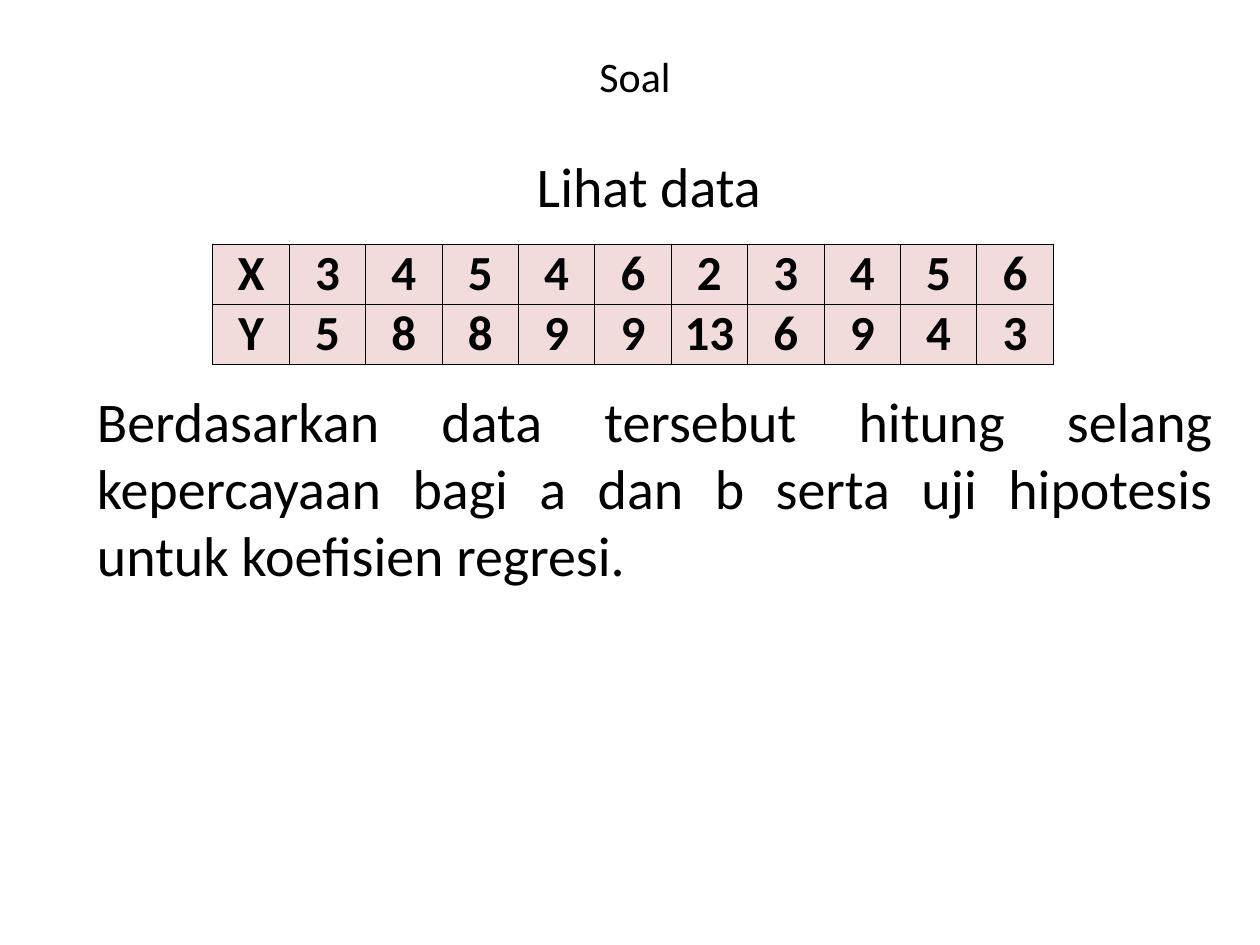
"""Build the exercise slide with its X and Y data table."""
import pptx
import pptx.dml.color
import pptx.enum.text
import pptx.oxml
import pptx.oxml.ns
import pptx.util

Cm, Pt = pptx.util.Cm, pptx.util.Pt
ALIGN = pptx.enum.text.PP_ALIGN
ANCHOR = pptx.enum.text.MSO_ANCHOR

FONT, BLACK, PINK = "Calibri", "000000", "F2DCDB"
TITLE = "Soal"
BODY = [
    ("Lihat data ", ALIGN.CENTER, 6.4),
    ("Berdasarkan data tersebut hitung selang kepercayaan bagi a dan b "
     "serta uji hipotesis untuk koefisien regresi.", ALIGN.JUSTIFY, 96),
]
DATA = [
    ("X", 3, 4, 5, 4, 6, 2, 3, 4, 5, 6),
    ("Y", 5, 8, 8, 9, 9, 13, 6, 9, 4, 3),
]
COLUMN_WIDTH, ROW_HEIGHT = Cm(1.54), Cm(1.2)


def color(value):
    return pptx.dml.color.RGBColor.from_string(value)


def write(para, text, size, align, bold=False):
    para.text = text
    para.alignment = align
    para.font.name, para.font.size, para.font.bold = FONT, Pt(size), bold
    para.font.color.rgb = color(BLACK)


def place(box, left, top, width, height, anchor):
    box.left, box.top, box.width, box.height = map(Cm, (left, top, width, height))
    frame = box.text_frame
    frame.word_wrap = True
    frame.auto_size = pptx.enum.text.MSO_AUTO_SIZE.NONE
    frame.vertical_anchor = anchor
    return frame


def add_borders(cell):
    properties = cell._tc.get_or_add_tcPr()
    for position, side in enumerate(("lnL", "lnR", "lnT", "lnB")):
        properties.insert(position, pptx.oxml.parse_xml(
            f'<a:{side} {pptx.oxml.ns.nsdecls("a")} w="{Pt(0.5)}"><a:solidFill>'
            f'<a:srgbClr val="{BLACK}"/></a:solidFill></a:{side}>'))


def fill_cell(cell, value):
    cell.margin_left = cell.margin_right = cell.margin_top = cell.margin_bottom = 0
    cell.vertical_anchor = ANCHOR.BOTTOM
    cell.fill.solid()
    cell.fill.fore_color.rgb = color(PINK)
    write(cell.text_frame.paragraphs[0], str(value), 28, ALIGN.CENTER, bold=True)
    add_borders(cell)


def add_data_table(page):
    rows, columns = len(DATA), len(DATA[0])
    table = page.shapes.add_table(rows, columns, Cm(4.29), Cm(4.92),
                                  COLUMN_WIDTH * columns, ROW_HEIGHT * rows).table
    for column in table.columns:
        column.width = COLUMN_WIDTH
    for row, values in zip(table.rows, DATA):
        row.height = ROW_HEIGHT
        for cell, value in zip(row.cells, values):
            fill_cell(cell, value)


def main():
    deck = pptx.Presentation()
    deck.slide_width, deck.slide_height = Cm(25.4), Cm(19.05)
    page = deck.slides.add_slide(deck.slide_layouts[0])

    title = place(page.shapes.title, 1.9, 0.53, 21.8, 2, ANCHOR.MIDDLE)
    write(title.paragraphs[0], TITLE, 24, ALIGN.CENTER)

    body = place(page.placeholders[1], 1.7, 2.92, 23.02, 15.2, ANCHOR.TOP)
    for index, (text, align, space) in enumerate(BODY):
        para = body.add_paragraph() if index else body.paragraphs[0]
        write(para, text, 32, align)
        para.space_before = Pt(space)

    add_data_table(page)
    deck.save("out.pptx")


if __name__ == "__main__":
    main()
